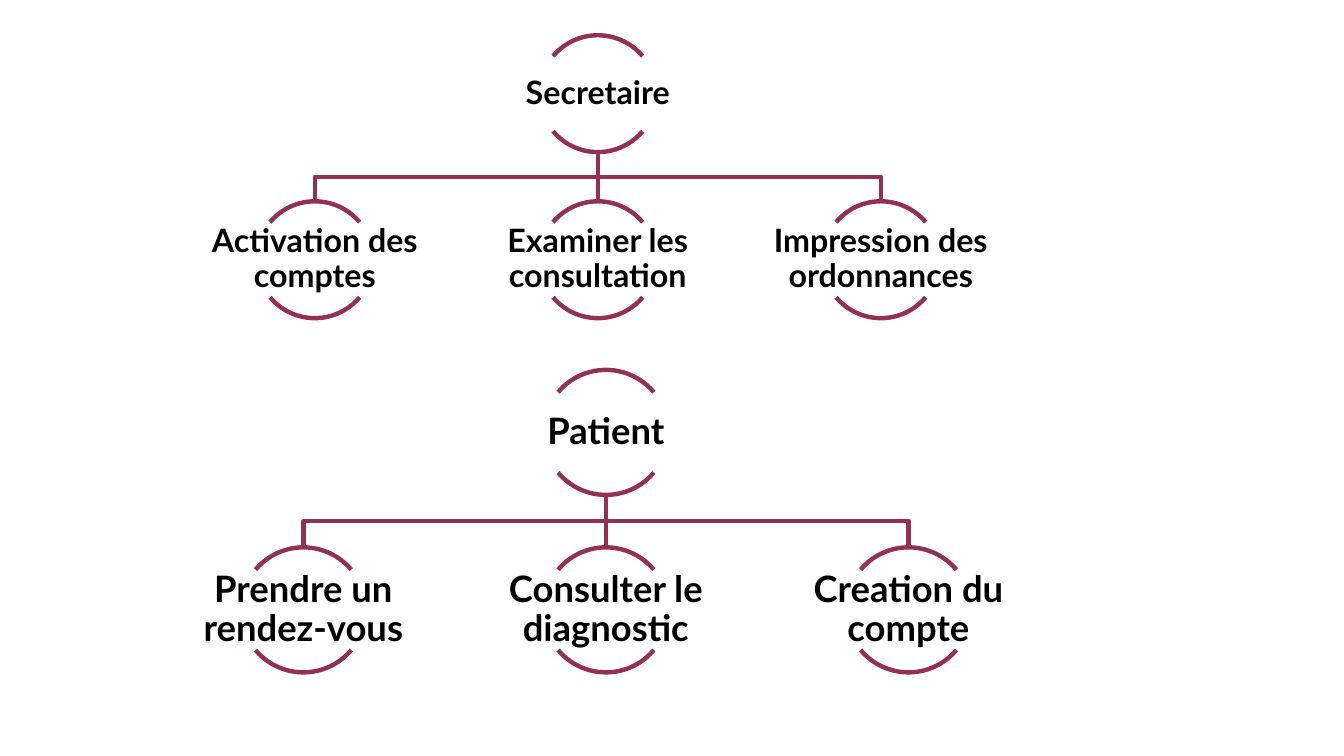
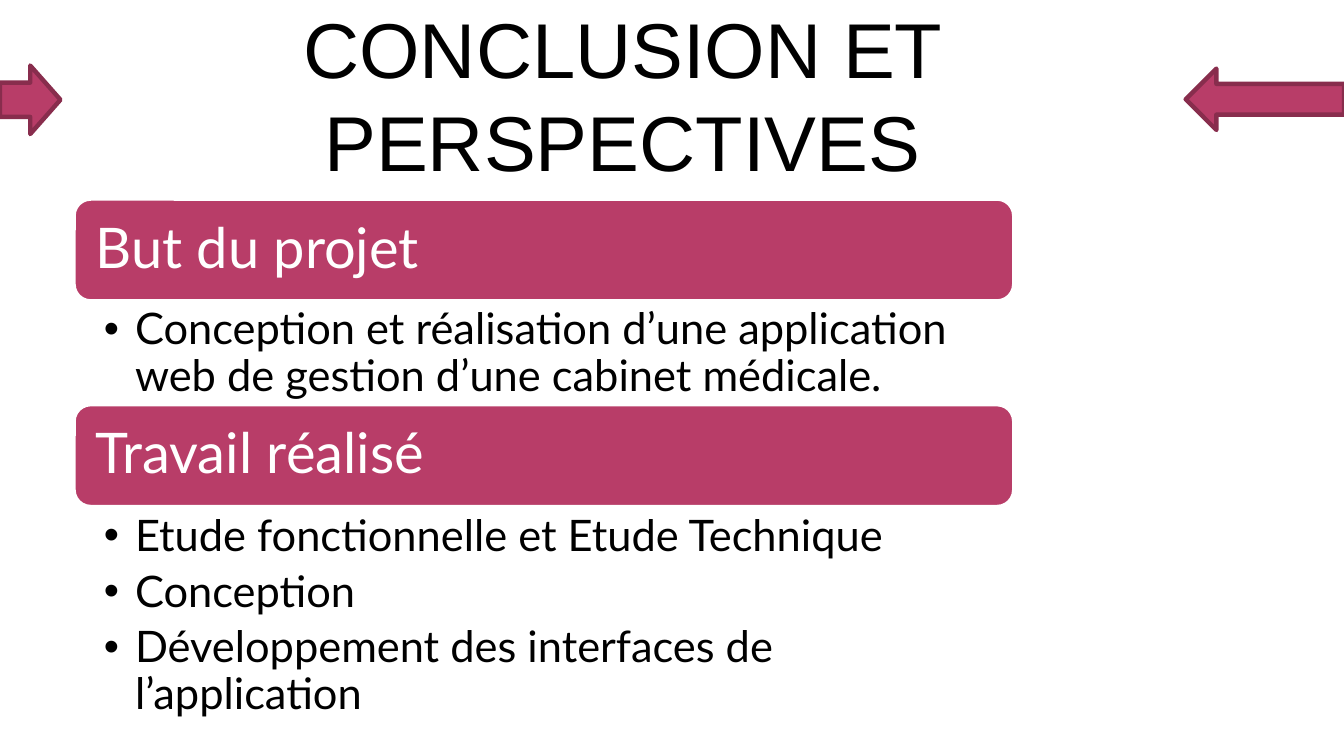
from lxml.etree import SubElement
from pptx import Presentation
from pptx.dml.color import RGBColor
from pptx.enum.shapes import MSO_CONNECTOR as Connector, MSO_SHAPE as Shape
from pptx.enum.text import MSO_ANCHOR as Anchor, MSO_AUTO_SIZE as AutoSize, PP_ALIGN as Align
from pptx.oxml.ns import qn
from pptx.util import Inches, Pt

TITLE_ONLY_LISTS, BLANK = 3, 6


def color(hex_code):
    return RGBColor.from_string(hex_code)


def write(frame, paragraphs, size, font="Lato", fill="000000", bold=False, align=Align.LEFT,
          anchor=Anchor.MIDDLE, insets=(0.1, 0.05, 0.1, 0.05), spacing=0.9, after=0, hanging=None):
    """Fill a text frame; insets run left, top, right, bottom and hanging adds bullets."""
    frame.word_wrap = True
    frame.auto_size = AutoSize.NONE
    frame.vertical_anchor = anchor
    (frame.margin_left, frame.margin_top,
     frame.margin_right, frame.margin_bottom) = map(Inches, insets)
    for index, text in enumerate(paragraphs):
        para = frame.add_paragraph() if index else frame.paragraphs[0]
        para.alignment = align
        para.line_spacing = spacing
        para.space_before = Pt(0)
        para.space_after = Pt(after)
        span = para.add_run()
        span.text = text
        span.font.name = font
        span.font.size = Pt(size)
        span.font.bold = bold
        span.font.color.rgb = color(fill)
        if hanging:
            props = para._p.get_or_add_pPr()
            props.set("marL", str(Inches(hanging)))
            props.set("indent", str(-Inches(hanging)))
            SubElement(props, qn("a:buFont"), typeface="Arial")
            SubElement(props, qn("a:buChar"), char="•")


class SlideWriter:
    ACCENT = "B83D68"
    BRANCH = "933153"
    ARROW_EDGE = "882D4D"
    LINE_WIDTH = 3.15

    def __init__(self, deck):
        self.deck = deck
        self.page = None

    def new_page(self, layout):
        self.page = self.deck.slides.add_slide(self.deck.slide_layouts[layout])

    def outline(self, shape, hex_code):
        shape.line.color.rgb = color(hex_code)
        shape.line.width = Pt(self.LINE_WIDTH)

    def shape(self, kind, left, top, width, height, fill=None, line=BRANCH):
        shape = self.page.shapes.add_shape(kind, *map(Inches, (left, top, width, height)))
        shape.shadow.inherit = False
        if fill:
            shape.fill.solid()
            shape.fill.fore_color.rgb = color(fill)
        else:
            shape.fill.background()
        self.outline(shape, line)
        return shape

    def placeholder(self, index, left, top, width, height):
        holder = self.page.placeholders[index]
        holder.left, holder.top, holder.width, holder.height = map(
            Inches, (left, top, width, height))
        return holder.text_frame

    def title(self, text):
        write(self.placeholder(0, 0.48, 0.11, 11.39, 1.65), [text], 55.5,
              font="Arial", align=Align.CENTER, spacing=1.0)

    def bullets(self, index, top, height, items):
        write(self.placeholder(index, 0.73, top, 9.33, height), items, 31, anchor=Anchor.TOP,
              insets=(0.3, 0.06, 0.31, 0.06), after=6.2, hanging=0.31)

    def band(self, top, text):
        band = self.shape(Shape.ROUNDED_RECTANGLE, 0.73, top, 9.33, 1.02, self.ACCENT, "FFFFFF")
        write(band.text_frame, [text], 40, fill="FFFFFF", insets=(0.17,) * 4)

    def node(self, center, top, diameter, text, size):
        """Draw a label between an upper and a lower arc of one circle."""
        for start, end in ((132, 192), (24, 84)):
            arc = self.shape(Shape.ARC, center - diameter / 2, top, diameter, diameter)
            arc.adjustments[0], arc.adjustments[1] = start, end
        box = self.page.shapes.add_textbox(*map(Inches, (
            center - diameter, top + 0.18 * diameter, 2 * diameter, 0.64 * diameter)))
        write(box.text_frame, [text], size, bold=True, align=Align.CENTER,
              insets=(0.02,) * 4, after=0.35 * size)

    def branch(self, parent_x, child_x, top, bottom):
        """Join parent and child, straight down or with a bend at mid-height."""
        if parent_x == child_x:
            line = self.page.shapes.add_connector(
                Connector.STRAIGHT, *map(Inches, (parent_x, top, child_x, bottom)))
            SubElement(line._element.spPr, qn("a:effectLst"))
        else:
            middle = (top + bottom) / 2
            builder = self.page.shapes.build_freeform(Inches(parent_x), Inches(top))
            bends = ((parent_x, middle), (child_x, middle), (child_x, bottom))
            builder.add_line_segments([(Inches(x), Inches(y)) for x, y in bends], close=False)
            line = builder.convert_to_shape()
            line.shadow.inherit = False
            line.fill.background()
        self.outline(line, self.BRANCH)

    def tree(self, center, top, diameter, size, root, children):
        row_top = top + 1.42 * diameter
        middle = (len(children) - 1) / 2
        columns = [center + (index - middle) * 2.42 * diameter for index in range(len(children))]
        for column in columns:
            self.branch(center, column, top + diameter, row_top)
        self.node(center, top, diameter, root, size)
        for column, child in zip(columns, children):
            self.node(column, row_top, diameter, child, size)


def main():
    deck = Presentation()
    deck.slide_width, deck.slide_height = Inches(13.33), Inches(7.5)
    writer = SlideWriter(deck)

    writer.new_page(BLANK)
    writer.tree(5.93, 0.35, 1.16, 23, "Secretaire", [
        "Activation des comptes", "Examiner les consultation", "Impression des ordonnances"])
    writer.tree(6.01, 3.67, 1.24, 26, "Patient", [
        "Prendre un rendez-vous", "Consulter le diagnostic", "Creation du compte"])

    writer.new_page(TITLE_ONLY_LISTS)
    writer.band(1.97, "But du projet")
    writer.bullets(1, 2.99, 1.02, [
        "Conception et réalisation d’une application web de gestion d’une cabinet médicale."])
    writer.band(4.01, "Travail réalisé")
    writer.bullets(2, 5.04, 2.13, [
        "Etude fonctionnelle et Etude Technique",
        "Conception",
        "Développement des interfaces de l’application"])
    writer.title("CONCLUSION ET PERSPECTIVES")
    writer.shape(Shape.RIGHT_ARROW, 0, 0.65, 0.6, 0.68, writer.ACCENT, writer.ARROW_EDGE)
    writer.shape(Shape.LEFT_ARROW, 11.76, 0.68, 1.57, 0.61, writer.ACCENT, writer.ARROW_EDGE)

    deck.save("out.pptx")


if __name__ == "__main__":
    main()
